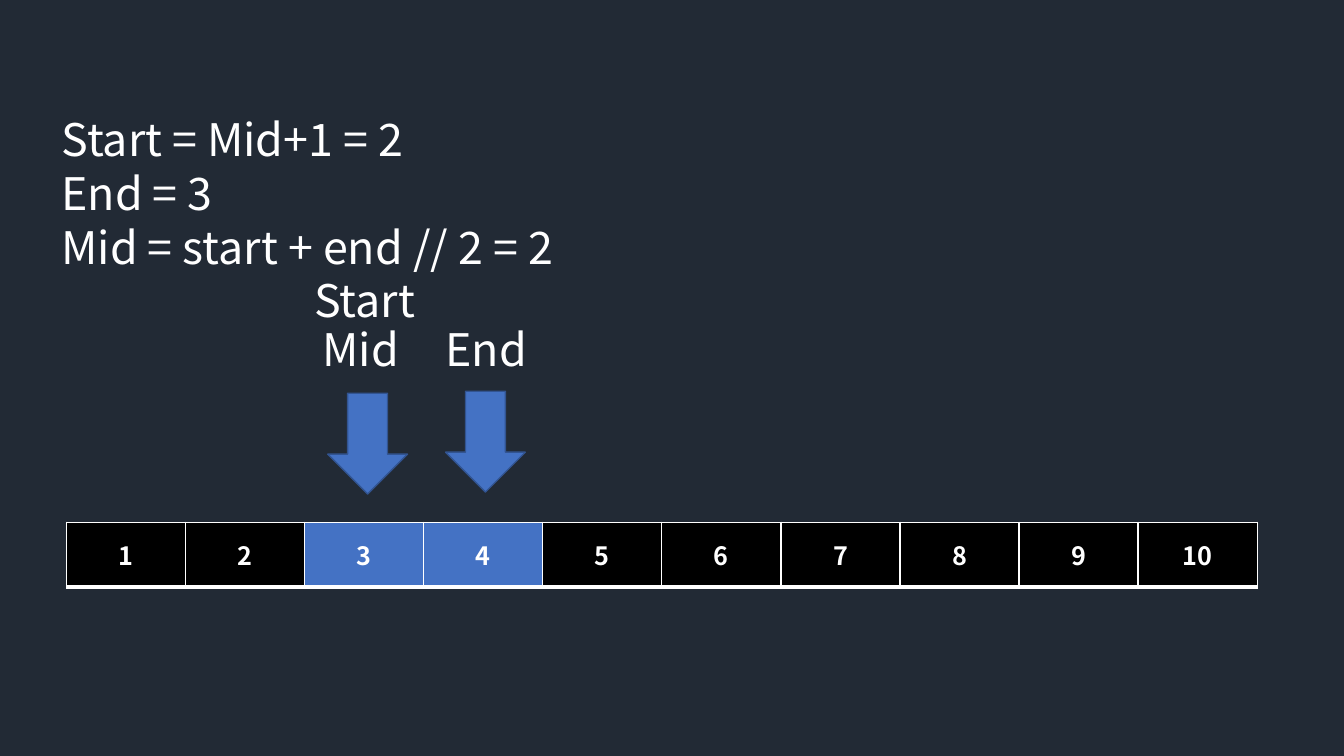
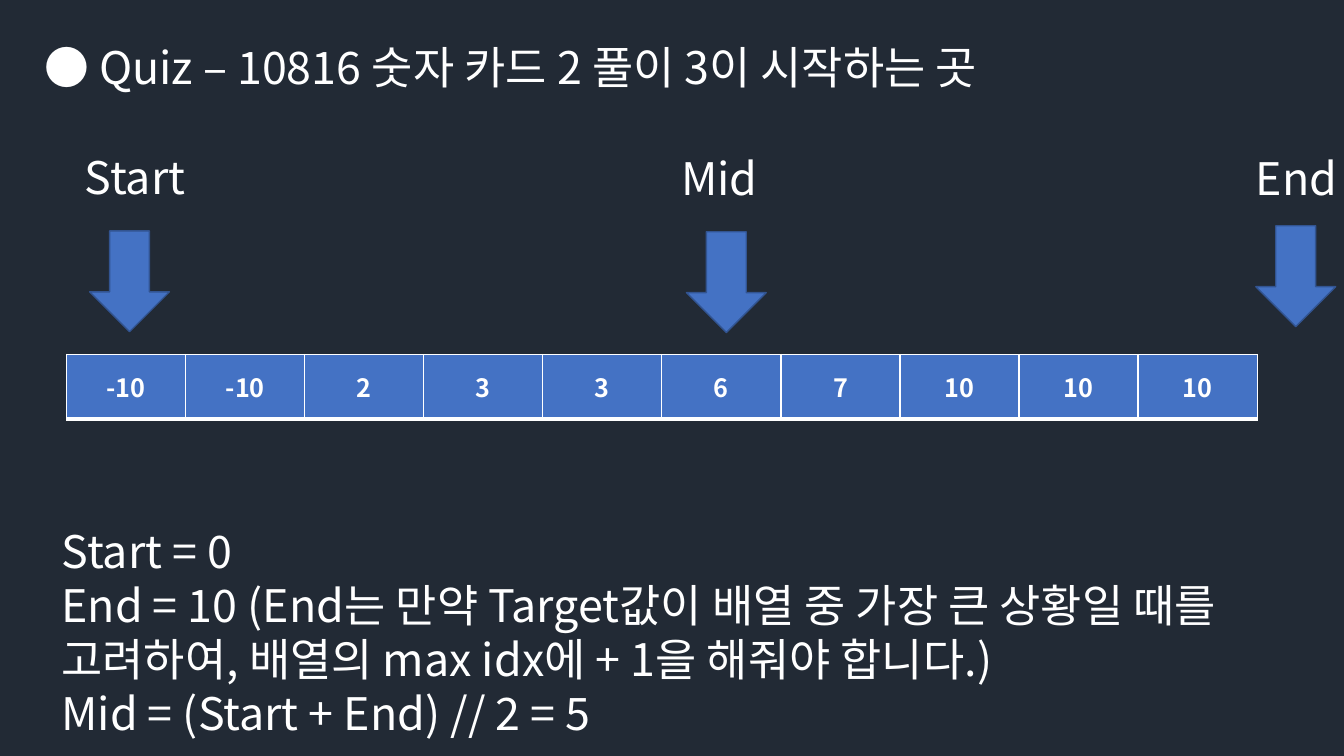
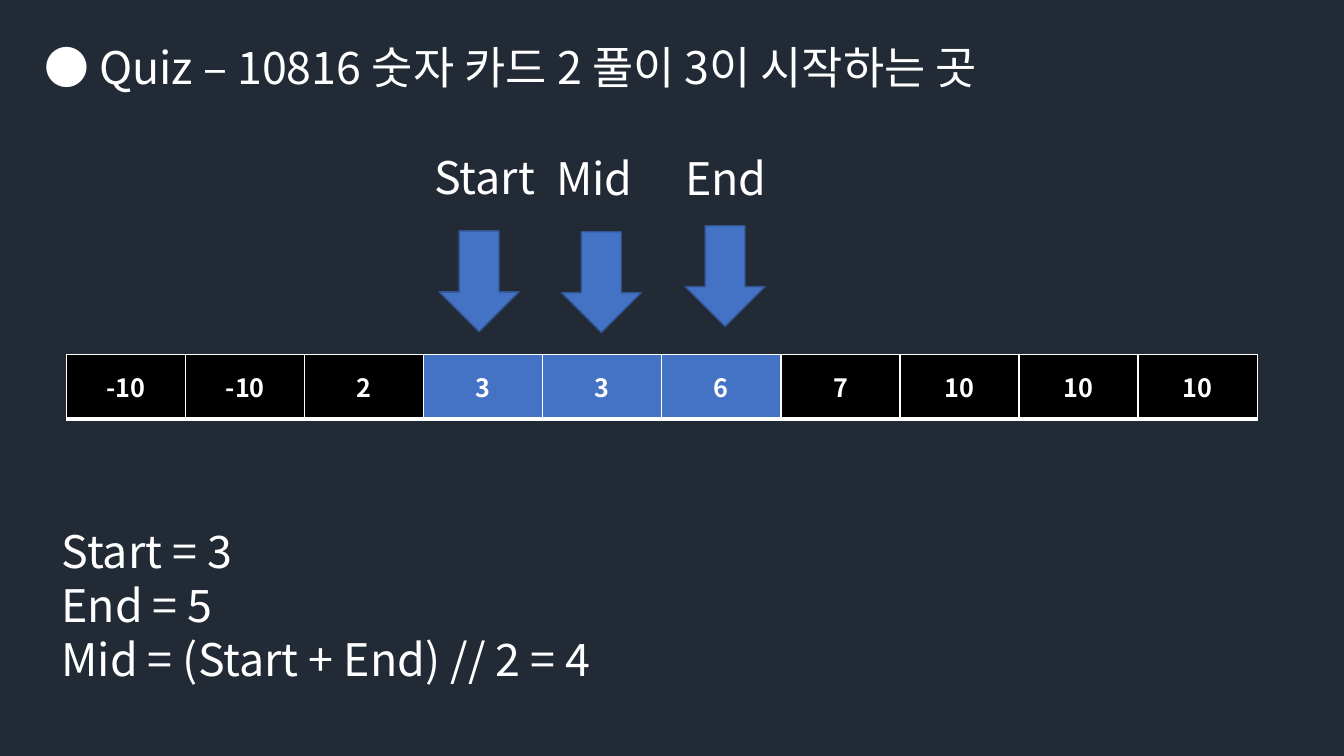
from pptx import Presentation
from pptx.dml.color import RGBColor
from pptx.enum.shapes import MSO_SHAPE
from pptx.enum.text import MSO_ANCHOR, MSO_AUTO_SIZE, PP_ALIGN
from pptx.oxml import parse_xml
from pptx.oxml.ns import nsdecls
from pptx.util import Cm, Pt

DOWN_ARROW = MSO_SHAPE.DOWN_ARROW
TOP, MIDDLE = MSO_ANCHOR.TOP, MSO_ANCHOR.MIDDLE
LEFT, CENTER = PP_ALIGN.LEFT, PP_ALIGN.CENTER
GROW = MSO_AUTO_SIZE.SHAPE_TO_FIT_TEXT

NAVY = RGBColor(0x22, 0x2A, 0x35)
BLUE = RGBColor(0x44, 0x72, 0xC4)
DARK_BLUE = RGBColor(0x32, 0x54, 0x91)
BLACK = RGBColor(0, 0, 0)
WHITE = RGBColor(0xFF, 0xFF, 0xFF)
FONT = "Noto Sans CJK KR"

CARD_TITLE = "● Quiz – 10816 숫자 카드 2 풀이 3이 시작하는 곳"
COUNTING = list(range(1, 11))
CARDS = [-10, -10, 2, 3, 3, 6, 7, 10, 10, 10]

STEPS = [
    {
        "title": None,
        "numbers": COUNTING, "active": range(2, 4), "array_top": 13.16,
        "notes": ["Start = Mid+1 = 2", "End = 3", "Mid = start + end // 2 = 2"],
        "notes_box": (1.3, 2.69, 17.63, 4.37),
        "pointers": [("Start", 8.05, 6.76, None), ("Mid", 8.26, 7.98, 9.91),
                     ("End", 11.23, 7.98, 9.86)],
    },
    {
        "title": CARD_TITLE,
        "numbers": CARDS, "active": range(10), "array_top": 8.93,
        "notes": ["Start = 0",
                  "End = 10 (End는 만약 Target값이 배열 중 가장 큰 상황일 때를 고려하여, "
                  "배열의 max idx에 + 1을 해줘야 합니다.)",
                  "Mid = (Start + End) // 2 = 5"],
        "notes_box": (1.3, 13.08, 30.1, 5.74),
        "pointers": [("Start", 2.26, 3.66, 5.82), ("Mid", 17.3, 3.68, 5.84),
                     ("End", 31.65, 3.68, 5.69)],
    },
    {
        "title": CARD_TITLE,
        "numbers": CARDS, "active": range(3, 6), "array_top": 8.93,
        "notes": ["Start = 3", "End = 5", "Mid = (Start + End) // 2 = 4"],
        "notes_box": (1.3, 13.08, 30.1, 4.37),
        "pointers": [("Start", 11.07, 3.66, 5.82), ("Mid", 14.15, 3.68, 5.84),
                     ("End", 17.27, 3.68, 5.69)],
    },
]

TITLE_BOX = (0.86, 0.88, 27.74, 1.63)
ARRAY_LEFT, CELL_WIDTH, CELL_HEIGHT = 1.68, 3, 1.63
ARROW_WIDTH, ARROW_HEIGHT = 2.01, 2.54
LABEL_WIDTH, LABEL_HEIGHT = 3.15, 1.63
LABEL_SHIFT = {"Start": 0.38, "Mid": 0.38, "End": 0.25}
BORDERS = [("lnL", 1), ("lnR", 1), ("lnT", 1), ("lnB", 3)]


def box(*lengths):
    return [Cm(length) for length in lengths]


def write(frame, lines, size=32, bold=False, align=LEFT):
    frame.text = "\n".join(lines)
    for paragraph in frame.paragraphs:
        paragraph.alignment = align
        paragraph.line_spacing = 1.0
        for run in paragraph.runs:
            run.font.name = FONT
            run.font.size = Pt(size)
            run.font.bold = bold
            run.font.color.rgb = WHITE
            run.font._element.append(
                parse_xml(f'<a:ea {nsdecls("a")} typeface="{FONT}"/>'))


def add_text(slide, lines, place):
    frame = slide.shapes.add_textbox(*box(*place)).text_frame
    frame.word_wrap = True
    frame.auto_size = GROW
    write(frame, lines)


def add_title(slide, text):
    title = slide.shapes.title
    title.left, title.top, title.width, title.height = box(*TITLE_BOX)
    frame = title.text_frame
    frame.word_wrap = True
    frame.auto_size = GROW
    frame.vertical_anchor = TOP
    write(frame, [text])


def add_borders(cell):
    properties = cell._tc.get_or_add_tcPr()
    for position, (side, width) in enumerate(BORDERS):
        properties.insert(position, parse_xml(
            f'<a:{side} {nsdecls("a")} w="{Pt(width)}"><a:solidFill>'
            f'<a:srgbClr val="{WHITE}"/></a:solidFill></a:{side}>'))


def add_array(slide, numbers, active, top):
    place = box(ARRAY_LEFT, top, CELL_WIDTH * len(numbers), CELL_HEIGHT)
    array = slide.shapes.add_table(1, len(numbers), *place).table
    array.horz_banding = False
    for index, number in enumerate(numbers):
        array.columns[index].width = Cm(CELL_WIDTH)
        cell = array.cell(0, index)
        cell.vertical_anchor = MIDDLE
        cell.fill.solid()
        cell.fill.fore_color.rgb = BLUE if index in active else BLACK
        add_borders(cell)
        write(cell.text_frame, [str(number)], size=18, bold=True, align=CENTER)


def add_pointer(slide, name, left, label_top, arrow_top):
    add_text(slide, [name],
             (left - LABEL_SHIFT[name], label_top, LABEL_WIDTH, LABEL_HEIGHT))
    if arrow_top is None:
        return
    arrow = slide.shapes.add_shape(
        DOWN_ARROW, *box(left, arrow_top, ARROW_WIDTH, ARROW_HEIGHT))
    arrow.shadow.inherit = False
    arrow.fill.solid()
    arrow.fill.fore_color.rgb = BLUE
    arrow.line.color.rgb = DARK_BLUE
    arrow.line.width = Pt(1)


deck = Presentation()
deck.slide_width, deck.slide_height = box(33.87, 19.05)
backdrop = deck.slide_master.background.fill
backdrop.solid()
backdrop.fore_color.rgb = NAVY
title_only = deck.slide_layouts.get_by_name("Title Only")
blank = deck.slide_layouts.get_by_name("Blank")

for step in STEPS:
    slide = deck.slides.add_slide(title_only if step["title"] else blank)
    if step["title"]:
        add_title(slide, step["title"])
    add_array(slide, step["numbers"], step["active"], step["array_top"])
    add_text(slide, step["notes"], step["notes_box"])
    for pointer in step["pointers"]:
        add_pointer(slide, *pointer)

deck.save("out.pptx")
